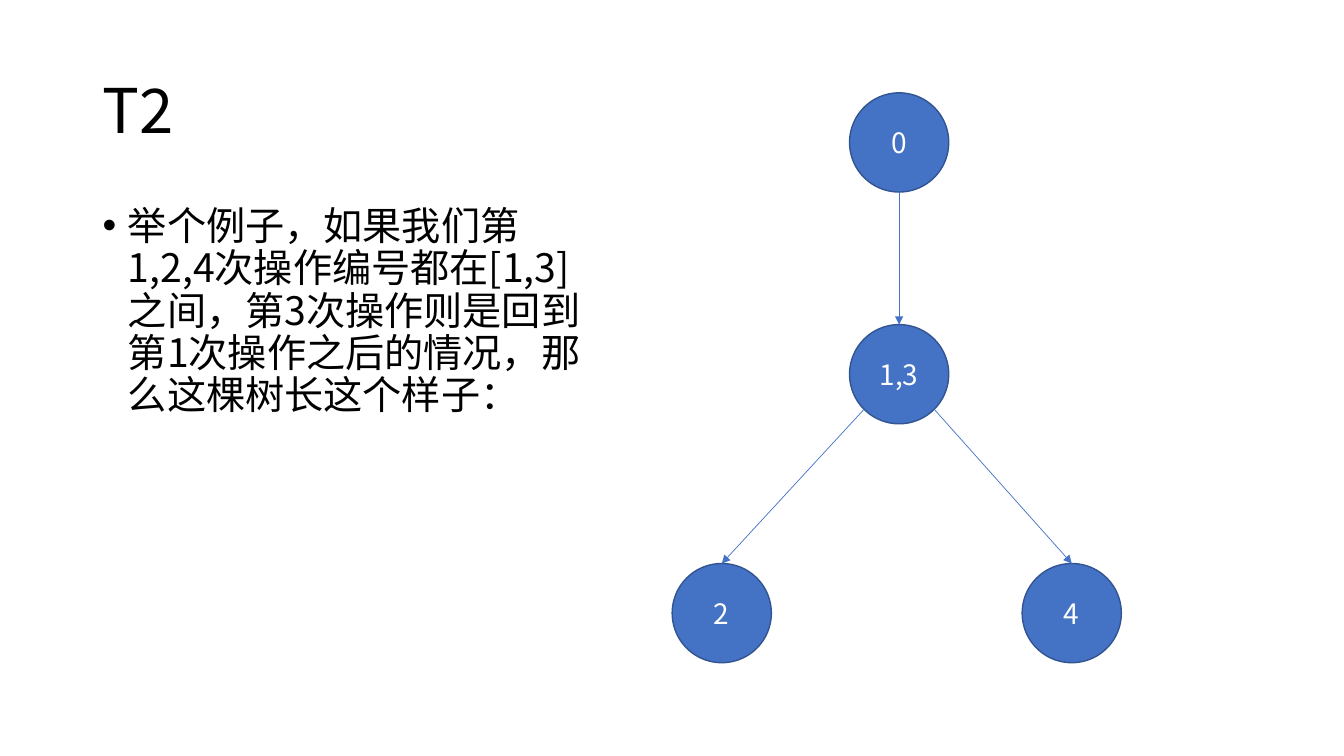
from dataclasses import dataclass
from math import sqrt

from lxml.etree import SubElement
from pptx import Presentation
from pptx.dml.color import RGBColor
from pptx.enum.shapes import MSO_CONNECTOR, MSO_SHAPE
from pptx.enum.text import MSO_ANCHOR, PP_ALIGN
from pptx.oxml.ns import qn
from pptx.util import Cm, Pt


@dataclass(frozen=True)
class Theme:
    font: str = "Noto Sans CJK SC"
    text: RGBColor = RGBColor(0, 0, 0)
    node_text: RGBColor = RGBColor(255, 255, 255)
    node_fill: RGBColor = RGBColor(0x44, 0x72, 0xC4)
    node_line: RGBColor = RGBColor(0x32, 0x54, 0x91)
    title_size: int = 44
    body_size: int = 28
    node_size: int = 20


THEME = Theme()
DIAMETER = 2.5

# Tree nodes: label -> left and top in centimetres
NODES = {
    "0": (21.41, 2.34),
    "1,3": (21.41, 8.18),
    "2": (16.94, 14.2),
    "4": (25.76, 14.2),
}
# Edges: parent, child, side on which the edge leaves (-1 left, 0 below, 1 right)
EDGES = [("0", "1,3", 0), ("1,3", "2", -1), ("1,3", "4", 1)]

BODY = (
    "举个例子，如果我们第1,2,4次操作编号都在[1,3]之间，"
    "第3次操作则是回到第1次操作之后的情况，那么这棵树长这个样子："
)


def format_paragraph(paragraph, size, color):
    for run in paragraph.runs:
        run.font.name = THEME.font
        run.font.size = Pt(size)
        run.font.color.rgb = color
        # East Asian text takes its typeface from a separate element
        properties = run.font._element
        SubElement(properties, qn("a:ea"), typeface=THEME.font)


def add_text(slide, text, left, top, width, height, size, anchor):
    shape = slide.shapes.add_textbox(Cm(left), Cm(top), Cm(width), Cm(height))
    text_frame = shape.text_frame
    text_frame.word_wrap = True
    text_frame.vertical_anchor = anchor
    text_frame.text = text
    paragraph = text_frame.paragraphs[0]
    paragraph.line_spacing = 0.9
    format_paragraph(paragraph, size, THEME.text)
    return paragraph


def add_bullet(paragraph):
    paragraph.space_before = Pt(10)
    properties = paragraph._p.get_or_add_pPr()
    indent = Cm(0.635)
    properties.set("marL", str(indent))
    properties.set("indent", str(-indent))
    SubElement(properties, qn("a:buFont"), typeface="Arial")
    SubElement(properties, qn("a:buChar"), char="•")


def add_node(slide, label, left, top):
    shape = slide.shapes.add_shape(
        MSO_SHAPE.OVAL, Cm(left), Cm(top), Cm(DIAMETER), Cm(DIAMETER)
    )
    shape.shadow.inherit = False
    shape.fill.solid()
    shape.fill.fore_color.rgb = THEME.node_fill
    shape.line.color.rgb = THEME.node_line
    shape.line.width = Pt(1)
    text_frame = shape.text_frame
    text_frame.text = label
    text_frame.vertical_anchor = MSO_ANCHOR.MIDDLE
    paragraph = text_frame.paragraphs[0]
    paragraph.alignment = PP_ALIGN.CENTER
    format_paragraph(paragraph, THEME.node_size, THEME.node_text)
    return shape


def add_edge(slide, parent, child, side):
    # Leave the circle straight down or at 45 degrees, arrive at the child's top
    radius = parent.width / 2
    drop = radius / sqrt(2) if side else radius
    start_x = int(parent.left + radius + side * drop)
    start_y = int(parent.top + radius + drop)
    end_x = child.left + child.width // 2
    connector = slide.shapes.add_connector(
        MSO_CONNECTOR.STRAIGHT, start_x, start_y, end_x, child.top
    )
    connector.end_connect(child, 0)
    connector.line.color.rgb = THEME.node_fill
    connector.line.width = Pt(0.5)
    SubElement(connector.line._get_or_add_ln(), qn("a:tailEnd"), type="triangle")
    SubElement(connector._element.spPr, qn("a:effectLst"))


def main():
    presentation = Presentation()
    presentation.slide_width = Cm(33.87)
    presentation.slide_height = Cm(19.05)
    slide = presentation.slides.add_slide(presentation.slide_layouts[6])

    # Title and explanation
    add_text(slide, "T2", 2.34, 1.02, 29.21, 3.68,
             THEME.title_size, MSO_ANCHOR.MIDDLE)
    body = add_text(slide, BODY, 2.34, 5.08, 12.83, 12.09,
                    THEME.body_size, MSO_ANCHOR.TOP)
    add_bullet(body)

    # Tree of operations
    nodes = {
        label: add_node(slide, label, left, top)
        for label, (left, top) in NODES.items()
    }
    for parent, child, side in EDGES:
        add_edge(slide, nodes[parent], nodes[child], side)

    presentation.save("out.pptx")


if __name__ == "__main__":
    main()
